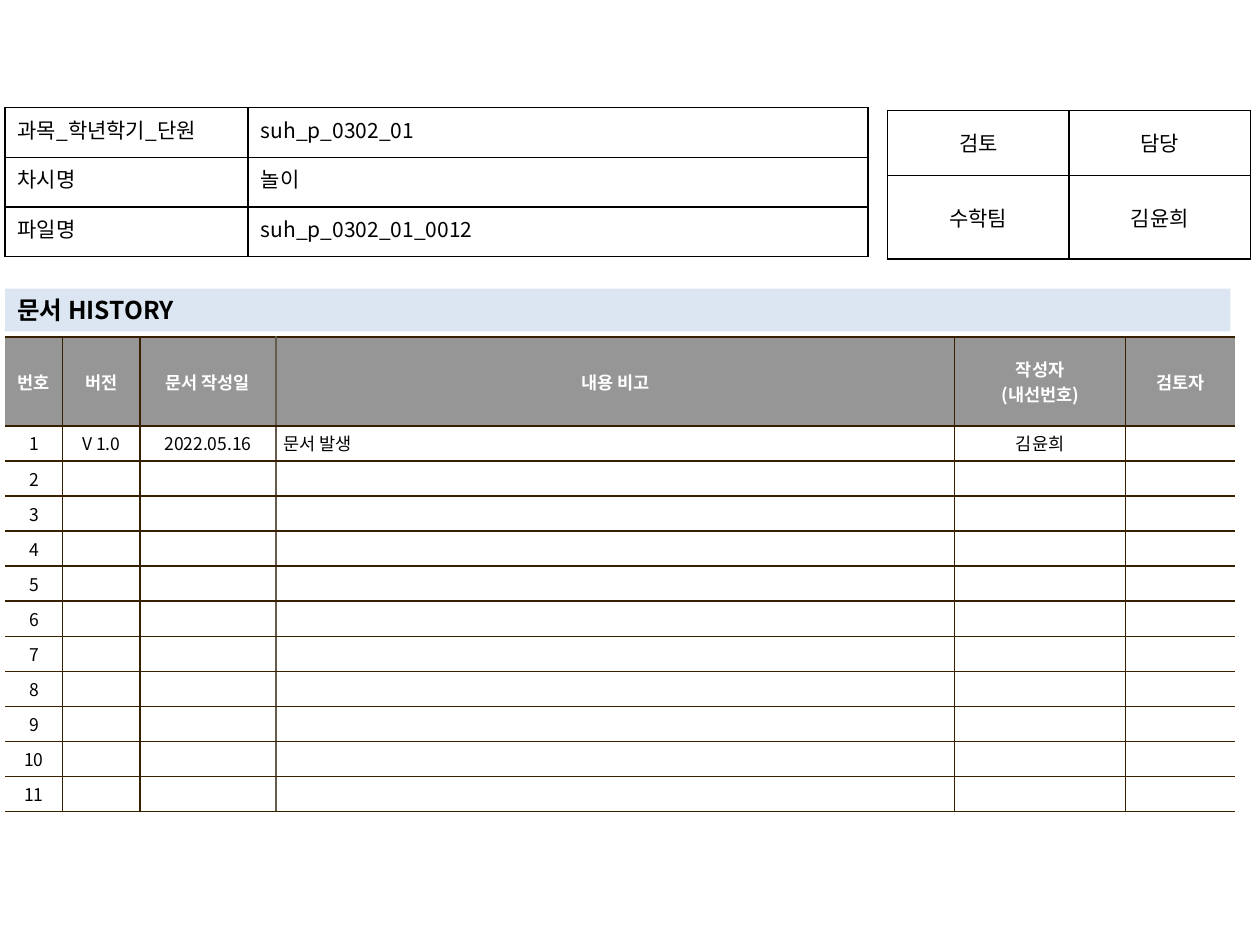
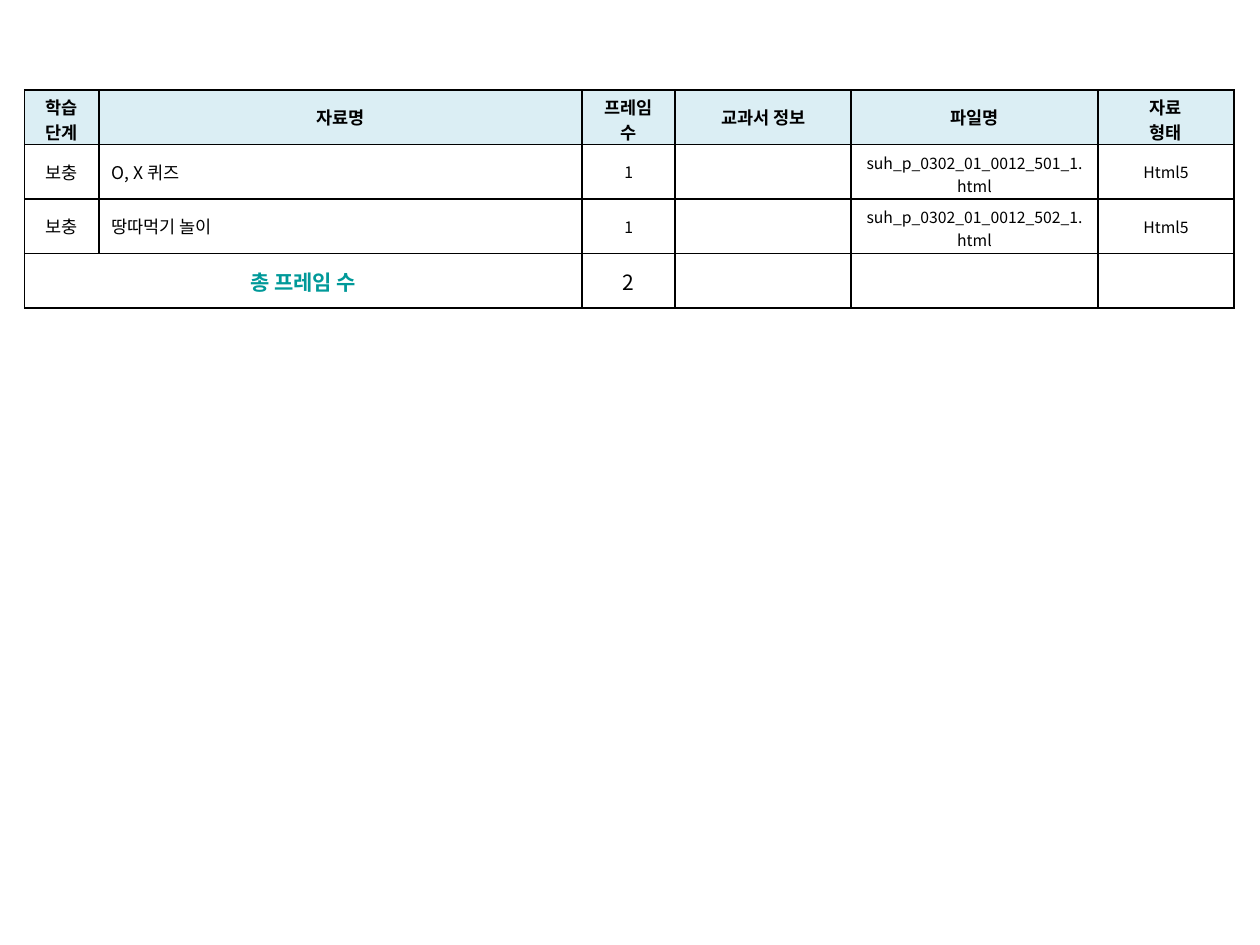
from dataclasses import dataclass

from lxml.etree import SubElement
from pptx import Presentation
from pptx.dml.color import RGBColor
from pptx.enum.shapes import MSO_SHAPE
from pptx.enum.text import MSO_ANCHOR, PP_ALIGN
from pptx.oxml.ns import qn
from pptx.util import Inches, Pt


@dataclass(frozen=True)
class Theme:
    font: str = "Noto Sans CJK KR"
    ink: str = "000000"
    white: str = "FFFFFF"
    history_line: str = "362000"
    history_divider: str = "645B4C"
    history_header: str = "969696"
    section_band: str = "DCE6F2"
    list_header: str = "DBEEF4"
    total: str = "009999"
    tiny: float = 9
    small: float = 10
    normal: float = 12
    heading: float = 14
    line_width: float = 1


@dataclass(frozen=True)
class Box:
    """Position and size in cells of the slide grid."""
    left: float
    top: float
    width: float
    height: float

    def lengths(self):
        return [grid(n) for n in (self.left, self.top, self.width, self.height)]


THEME = Theme()
COLUMNS = 100
SLIDE_WIDTH, SLIDE_HEIGHT = Inches(10), Inches(7.5)

# Cell margins: sides, then top and bottom
WIDE_MARGINS = (1, 0.5)
NARROW_MARGINS = (0.6, 0.39)
FLAT_MARGINS = (1, 0)


def grid(cells):
    """Turn a number of square grid cells into a length."""
    return int(cells * SLIDE_WIDTH / COLUMNS)


def style_characters(properties, size, bold, color):
    """Format the a:rPr or a:endParaRPr element of a paragraph."""
    properties.set("sz", str(int(size * 100)))
    properties.set("b", str(int(bold)))
    fill = SubElement(properties, qn("a:solidFill"))
    SubElement(fill, qn("a:srgbClr"), val=color)
    for script in ("a:latin", "a:ea"):
        SubElement(properties, qn(script), typeface=THEME.font)


def write_text(frame, text, size=THEME.normal, bold=False, color=THEME.ink,
               align=PP_ALIGN.CENTER):
    """Write one paragraph for each line of text."""
    frame.word_wrap = True
    for index, line in enumerate(text.split("\n")):
        paragraph = frame.add_paragraph() if index else frame.paragraphs[0]
        paragraph.alignment = align
        if line:
            run = paragraph.add_run()
            run.text = line
            properties = run.font._element
        else:
            properties = SubElement(paragraph._p, qn("a:endParaRPr"))
        style_characters(properties, size, bold, color)


def set_borders(cell, **sides):
    """Draw the sides left, right, top and bottom; None hides a side."""
    properties = cell._tc.get_or_add_tcPr()
    tags = {"left": "a:lnL", "right": "a:lnR", "top": "a:lnT", "bottom": "a:lnB"}
    for position, (side, tag) in enumerate(tags.items()):
        line = SubElement(properties, qn(tag), w=str(Pt(THEME.line_width)))
        properties.insert(position, line)
        if sides[side] is None:
            SubElement(line, qn("a:noFill"))
        else:
            fill = SubElement(line, qn("a:solidFill"))
            SubElement(fill, qn("a:srgbClr"), val=sides[side])


def add_grid_table(slide, box, widths, heights, texts, text_format, fill_color=None,
                   border_colors=None, margins=WIDE_MARGINS, anchor=MSO_ANCHOR.MIDDLE):
    """Add a table; the three format rules are called with row and column."""
    frame = slide.shapes.add_table(len(heights), len(widths), *box.lengths())
    table = frame.table
    table.first_row = table.horz_banding = False
    for column, width in zip(table.columns, widths):
        column.width = grid(width)
    for row, height in zip(table.rows, heights):
        row.height = grid(height)
    for row, row_texts in enumerate(texts):
        for column, text in enumerate(row_texts):
            cell = table.cell(row, column)
            cell.margin_left = cell.margin_right = grid(margins[0])
            cell.margin_top = cell.margin_bottom = grid(margins[1])
            cell.vertical_anchor = anchor
            write_text(cell.text_frame, text, **text_format(row, column))
            color = fill_color(row, column) if fill_color else None
            if color:
                cell.fill.solid()
                cell.fill.fore_color.rgb = RGBColor.from_string(color)
            else:
                cell.fill.background()
            sides = dict.fromkeys(("left", "right", "top", "bottom"), THEME.ink)
            if border_colors:
                sides = border_colors(row, column)
            set_borders(cell, **sides)
    return table


def add_document_details(slide, box):
    texts = [
        ("과목_학년학기_단원", "suh_p_0302_01"),
        ("차시명", "놀이"),
        ("파일명", "suh_p_0302_01_0012"),
    ]

    def text_format(row, column):
        return {"align": PP_ALIGN.LEFT if column else PP_ALIGN.JUSTIFY}

    label_width = 19.3
    add_grid_table(slide, box, [label_width, box.width - label_width],
                   [box.height / len(texts)] * len(texts), texts, text_format,
                   anchor=MSO_ANCHOR.TOP)


def add_review_box(slide, box):
    texts = [("검토", "담당"), ("수학팀", "김윤희")]
    header_height = 5.15
    add_grid_table(slide, box, [box.width / 2] * 2,
                   [header_height, box.height - header_height], texts,
                   lambda row, column: {})


def add_section_band(slide, box, text):
    band = slide.shapes.add_shape(MSO_SHAPE.RECTANGLE, *box.lengths())
    band.shadow.inherit = False
    band.fill.solid()
    band.fill.fore_color.rgb = RGBColor.from_string(THEME.section_band)
    band.line.fill.background()
    band.text_frame.vertical_anchor = MSO_ANCHOR.MIDDLE
    write_text(band.text_frame, text, size=THEME.heading, bold=True,
               align=PP_ALIGN.LEFT)


def add_history(slide, box):
    widths = [4.57, 6.13, 10.8, 53.85, 13.6, 8.65]
    entries, header_height = 11, 7.05
    date_column, note_column, last_column = 2, 3, len(widths) - 1
    texts = [
        ("번호", "버전", "문서 작성일", "내용 비고", "작성자\n(내선번호)", "검토자"),
        ("1", "V 1.0", "2022.05.16", "문서 발생", "김윤희", ""),
    ]
    texts += [(str(number), *[""] * last_column) for number in range(2, entries + 1)]

    def text_format(row, column):
        is_note = row > 0 and column == note_column
        return {"size": THEME.small, "bold": row == 0,
                "color": THEME.ink if row else THEME.white,
                "align": PP_ALIGN.LEFT if is_note else PP_ALIGN.CENTER}

    def border_colors(row, column):
        line, divider = THEME.history_line, THEME.history_divider
        left = divider if column == note_column else line
        right = divider if column == date_column else line
        return {"left": left if column else None,
                "right": right if column < last_column else None,
                "top": line, "bottom": line}

    entry_height = (box.height - header_height) / entries
    add_grid_table(slide, box, widths, [header_height] + [entry_height] * entries,
                   texts, text_format,
                   lambda row, column: THEME.white if row else THEME.history_header,
                   border_colors, NARROW_MARGINS)


def add_material_list(slide, box):
    widths = [5.9, 38.35, 7.4, 13.95, 19.6, 10.8]
    name_column, count_column, file_column, type_column = 1, 2, 4, 5
    texts = [
        ("학습 단계", "자료명", "프레임 수", "교과서 정보", "파일명", "자료\n형태"),
        ("보충", "O, X 퀴즈", "1", "", "suh_p_0302_01_0012_501_1.html", "Html5"),
        ("보충", "땅따먹기 놀이", "1", "", "suh_p_0302_01_0012_502_1.html", "Html5"),
        ("총 프레임 수", "", "2", "", "", ""),
    ]
    total_row = len(texts) - 1

    def text_format(row, column):
        if row == 0:
            return {"size": THEME.small, "bold": True}
        if row == total_row:
            is_label = column < count_column
            return {"bold": is_label, "color": THEME.total if is_label else THEME.ink}
        return {"size": THEME.small if column < count_column else THEME.tiny,
                "align": PP_ALIGN.LEFT if column == name_column else PP_ALIGN.CENTER}

    table = add_grid_table(slide, box, widths, [box.height / len(texts)] * len(texts),
                           texts, text_format,
                           lambda row, column: None if row else THEME.list_header,
                           margins=FLAT_MARGINS)
    table.cell(total_row, 0).merge(table.cell(total_row, name_column))

    # Two-line cells sit slightly lower in their rows
    two_line_cells = [(0, 0), (0, count_column), (0, type_column)]
    two_line_cells += [(row, file_column) for row in range(1, total_row)]
    for row, column in two_line_cells:
        table.cell(row, column).margin_top = grid(0.33)


def build_history_slide(slide):
    add_history(slide, Box(0.4, 26.75, 97.6, 34.55))
    add_review_box(slide, Box(70.45, 8.76, 28.8, 11.8))
    add_section_band(slide, Box(0.4, 22.9, 97.25, 3.4), "문서 HISTORY")
    add_document_details(slide, Box(0.4, 8.55, 68.5, 11.8))


def build_material_slide(slide):
    add_material_list(slide, Box(1.95, 7.15, 96, 17.32))


def main():
    presentation = Presentation()
    presentation.slide_width, presentation.slide_height = SLIDE_WIDTH, SLIDE_HEIGHT
    blank_layout = presentation.slide_layouts.get_by_name("Blank")
    for build in (build_history_slide, build_material_slide):
        build(presentation.slides.add_slide(blank_layout))
    presentation.save("out.pptx")


if __name__ == "__main__":
    main()
